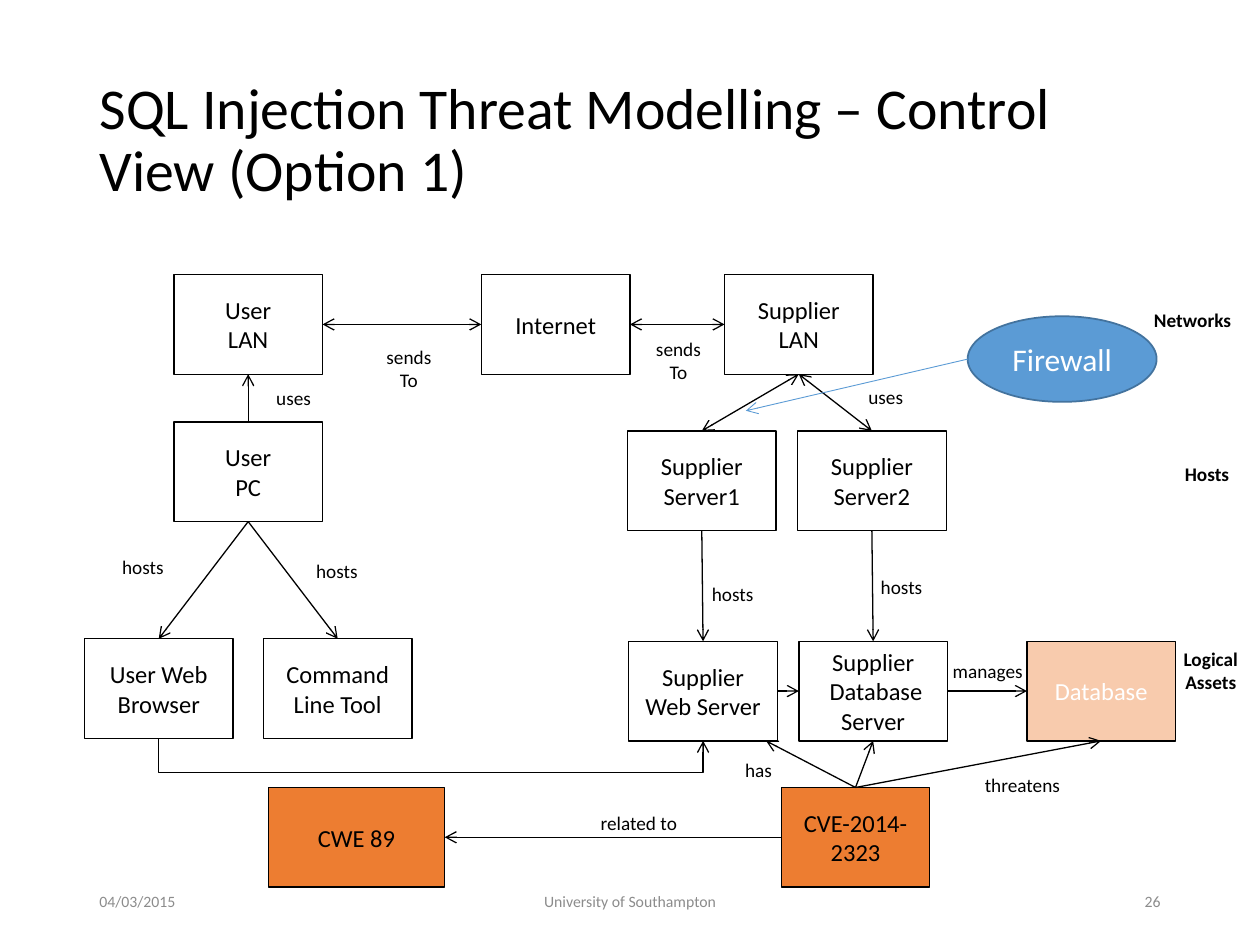
from dataclasses import dataclass
from lxml.etree import SubElement
from pptx import Presentation
from pptx.dml.color import RGBColor
from pptx.enum.shapes import MSO_CONNECTOR as CONN, MSO_SHAPE as SHAPE
from pptx.enum.text import MSO_ANCHOR as ANCHOR, MSO_AUTO_SIZE as AUTO, PP_ALIGN as ALIGN
from pptx.oxml.ns import qn
from pptx.util import Inches, Pt

TOP, LEFT, BOTTOM, RIGHT = range(4)
OVAL_LEFT = 2


@dataclass(frozen=True)
class Theme:
    font: str = "Calibri"
    black: str = "000000"
    white: str = "FFFFFF"
    gray: str = "8C8C8C"
    blue: str = "5B9BD5"
    navy: str = "43739E"
    orange: str = "ED7D31"
    peach: str = "F8CBAD"
    title: int = 33
    callout: int = 18
    node: int = 14
    label: int = 11
    footer: int = 9
    rule: float = 0.75


class Diagram:
    """Draws styled diagram elements on one slide."""

    def __init__(self, slide, theme):
        self.slide, self.theme = slide, theme

    def set_text(self, sp, text, size, color, align=ALIGN.CENTER, bold=False):
        tf = sp.text_frame
        tf.text = text
        for p in tf.paragraphs:
            p.alignment = align
            p.font.name, p.font.size, p.font.bold = self.theme.font, Pt(size), bold
            p.font.color.rgb = RGBColor.from_string(color)
        return tf

    def title(self, text, *box):
        sp = self.slide.shapes.title
        sp.left, sp.top, sp.width, sp.height = map(Inches, box)
        tf = self.set_text(sp, text, self.theme.title, self.theme.black, ALIGN.LEFT)
        tf.vertical_anchor = ANCHOR.MIDDLE
        tf.paragraphs[0].line_spacing = 0.9

    def footer(self, text, left, width, align):
        sp = self.slide.shapes.add_textbox(*map(Inches, (left, 6.95, width, 0.4)))
        tf = self.set_text(sp, text, self.theme.footer, self.theme.gray, align)
        tf.word_wrap, tf.vertical_anchor = True, ANCHOR.MIDDLE

    def node(self, text, left, top, width=1.18, height=0.79, fill=Theme.white,
             color=Theme.black, line=Theme.black, weight=Theme.rule,
             size=Theme.node, kind=SHAPE.RECTANGLE):
        sp = self.slide.shapes.add_shape(kind, *map(Inches, (left, top, width, height)))
        sp.shadow.inherit = False
        sp.fill.solid()
        sp.fill.fore_color.rgb = RGBColor.from_string(fill)
        sp.line.color.rgb = RGBColor.from_string(line)
        sp.line.width = Pt(weight)
        tf = self.set_text(sp, text, size, color)
        tf.word_wrap, tf.vertical_anchor = True, ANCHOR.MIDDLE
        return sp

    def label(self, text, left, top, width, bold=False):
        height = 0.47 if "\n" in text else 0.29
        sp = self.slide.shapes.add_textbox(*map(Inches, (left, top, width, height)))
        tf = self.set_text(sp, text, self.theme.label, self.theme.black, bold=bold)
        tf.word_wrap, tf.auto_size = False, AUTO.SHAPE_TO_FIT_TEXT

    def style_line(self, cx, color, weight, both):
        cx.line.color.rgb = RGBColor.from_string(color)
        cx.line.width = Pt(weight)
        spPr = cx._element.spPr
        ln = spPr.find(qn("a:ln"))
        for end in ("headEnd", "tailEnd") if both else ("tailEnd",):
            SubElement(ln, qn(f"a:{end}"), type="arrow")
        SubElement(spPr, qn("a:effectLst"))

    def arrow(self, start, site, end, end_site=None, both=False,
              color=Theme.black, weight=Theme.rule):
        target = end if end_site is None else (0, 0)
        cx = self.slide.shapes.add_connector(CONN.STRAIGHT, 0, 0, *map(Inches, target))
        if start is firewall:
            cx.begin_x, cx.begin_y = start.left, start.top + start.height // 2
        else:
            cx.begin_connect(start, site)
        if end_site is not None:
            cx.end_connect(end, end_site)
        self.style_line(cx, color, weight, both)

    def under_arrow(self, x1, y1, x2, y2, low):
        run, drop = x2 - x1, y2 - y1
        cx = self.slide.shapes.add_connector(CONN.ELBOW, 0, 0, 0, 0)
        cx.left, cx.top = Inches((x1 + x2 - drop) / 2), Inches((y1 + y2 - run) / 2)
        cx.width, cx.height = Inches(drop), Inches(run)
        spPr = cx._element.spPr
        xfrm = spPr.find(qn("a:xfrm"))
        xfrm.set("rot", str(270 * 60000))
        xfrm.set("flipH", "1")
        bend = round((low - y1) / drop * 100000)
        guides = spPr.find(qn("a:prstGeom")).find(qn("a:avLst"))
        SubElement(guides, qn("a:gd"), name="adj1", fmla=f"val {bend}")
        self.style_line(cx, self.theme.black, self.theme.rule, False)


theme = Theme()
prs = Presentation()
prs.slide_width, prs.slide_height = Inches(10), Inches(7.5)
d = Diagram(prs.slides.add_slide(prs.slide_layouts[5]), theme)

d.title("SQL Injection Threat Modelling – Control View (Option 1)", 0.69, 0.4, 8.62, 1.45)
d.footer("04/03/2015", 0.69, 2.25, ALIGN.LEFT)
d.footer("University of Southampton", 3.31, 3.38, ALIGN.CENTER)
d.footer("26", 7.06, 2.25, ALIGN.RIGHT)

networks, servers, clients, assets, threats = 2.18, 3.42, 5.07, 5.09, 6.25
user_lan = d.node("User\nLAN", 1.38, networks)
internet = d.node("Internet", 3.82, networks)
supplier_lan = d.node("Supplier\nLAN", 5.75, networks)
user_pc = d.node("User\nPC", 1.38, 3.35)
server1 = d.node("Supplier Server1", 4.98, servers)
server2 = d.node("Supplier Server2", 6.33, servers)
browser = d.node("User Web Browser", 0.67, clients)
command = d.node("Command Line Tool", 2.09, clients)
web_server = d.node("Supplier\nWeb Server", 4.99, assets)
db_server = d.node("Supplier\n Database Server", 6.34, assets)
database = d.node("Database", 8.15, assets, fill=theme.peach, color=theme.white)
cve = d.node("CVE-2014-2323", 6.2, threats, fill=theme.orange)
cwe = d.node("CWE 89", 2.13, threats, width=1.4, fill=theme.orange)
firewall = d.node("Firewall", 7.68, 2.51, 1.5, 0.68, fill=theme.blue, color=theme.white,
                  line=theme.navy, weight=1, size=theme.callout, kind=SHAPE.OVAL)

for start, site, end, end_site in (
    (user_pc, TOP, user_lan, BOTTOM),
    (user_pc, BOTTOM, browser, TOP),
    (user_pc, BOTTOM, command, TOP),
    (server1, BOTTOM, web_server, TOP),
    (server2, BOTTOM, db_server, TOP),
    (web_server, RIGHT, db_server, LEFT),
    (db_server, RIGHT, database, LEFT),
    (cve, LEFT, cwe, RIGHT),
    (cve, TOP, db_server, BOTTOM),
    (cve, TOP, database, BOTTOM),
):
    d.arrow(start, site, end, end_site)
for start, site, end, end_site in (
    (user_lan, RIGHT, internet, LEFT),
    (supplier_lan, LEFT, internet, RIGHT),
    (server1, TOP, supplier_lan, BOTTOM),
    (server2, TOP, supplier_lan, BOTTOM),
):
    d.arrow(start, site, end, end_site, both=True)
d.arrow(cve, TOP, (6.08, 5.88))
d.arrow(firewall, OVAL_LEFT, (5.92, 3.26), color=theme.blue, weight=0.5)
d.under_arrow(1.26, 5.86, 5.58, 5.88, low=6.13)

for text, left, top, width in (
    ("sends\nTo", 2.94, 2.69, 0.61),
    ("sends\nTo", 5.08, 2.63, 0.61),
    ("uses", 2.09, 3.02, 0.48),
    ("uses", 6.79, 3.01, 0.48),
    ("hosts", 0.87, 4.36, 0.53),
    ("hosts", 2.41, 4.39, 0.53),
    ("hosts", 5.55, 4.57, 0.53),
    ("hosts", 6.89, 4.52, 0.53),
    ("manages", 7.46, 5.18, 0.76),
    ("has", 5.81, 5.97, 0.42),
    ("related to", 4.66, 6.39, 0.82),
    ("threatens", 7.71, 6.09, 0.81),
):
    d.label(text, left, top, width)
for text, left, top, width in (
    ("Networks", 9.04, 2.4, 0.85),
    ("Hosts", 9.3, 3.62, 0.56),
    ("Logical\nAssets", 9.29, 5.09, 0.64),
):
    d.label(text, left, top, width, bold=True)

prs.save("out.pptx")
